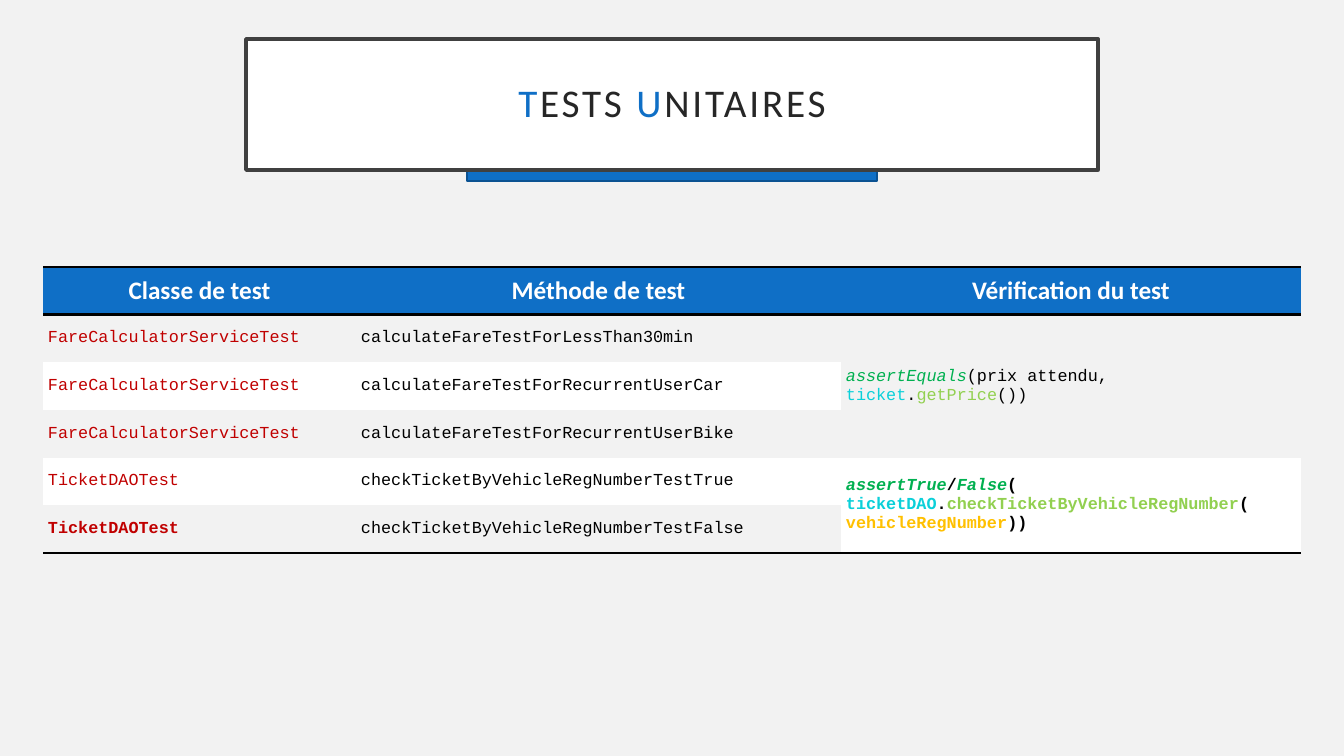
from pptx import Presentation
from pptx.dml.color import RGBColor
from pptx.enum.shapes import MSO_SHAPE as SHAPE
from pptx.enum.text import MSO_ANCHOR as ANCHOR, PP_ALIGN as ALIGN
from pptx.oxml import parse_xml
from pptx.oxml.ns import nsdecls
from pptx.util import Emu, Pt

COLORS = {
    "page": "F2F2F2", "white": "FFFFFF", "black": "000000", "blue": "0F6FC6",
    "navy": "0B5292", "frame": "404040", "ink": "262626", "red": "C00000",
    "green": "00B050", "cyan": "0BD0D9", "lime": "92D050", "amber": "FFC000",
}
TITLE = [[("T", "blue"), ("ESTS ", "ink"), ("U", "blue"), ("NITAIRES", "ink")]]
HEADERS = ["Classe de test", "Méthode de test", "Vérification du test"]
TESTS = [
    ("FareCalculatorServiceTest", "calculateFareTestForLessThan30min"),
    ("FareCalculatorServiceTest", "calculateFareTestForRecurrentUserCar"),
    ("FareCalculatorServiceTest", "calculateFareTestForRecurrentUserBike"),
    ("TicketDAOTest", "checkTicketByVehicleRegNumberTestTrue"),
    ("TicketDAOTest", "checkTicketByVehicleRegNumberTestFalse"),
]
PRICE_CHECK = [
    [("assertEquals", "green"), ("(prix attendu, ", "black"), ("ticket", "cyan"),
     (".", "black"), ("getPrice", "lime"), ("())", "black")],
]
TICKET_CHECK = [
    [("assertTrue", "green"), ("/", "black"), ("False", "green"), ("(", "black")],
    [("ticketDAO", "cyan"), (".", "black"),
     ("checkTicketByVehicleRegNumber", "lime"), ("(", "black")],
    [("vehicleRegNumber", "amber"), ("))", "black")],
]
CHECKS = [(1, 3, PRICE_CHECK, False), (4, 5, TICKET_CHECK, True)]

SLIDE = (1344, 756)
ACCENT_BOX = (467, 159, 410, 22)
TITLE_BOX = (246, 39, 852, 131)
TITLE_INSET = 20
TABLE_LEFT, TABLE_TOP, TABLE_HEIGHT = 43, 267, 286
COLUMNS = [313, 485, 460]
CELL_INSET = 5


def px(length):
    return Emu(round(length * 914400 / 100.8))


def rgb(name):
    return RGBColor.from_string(COLORS[name])


def write(frame, text, size=12, font="Courier New", bold=False, align=ALIGN.LEFT,
          line=1.0, spacing=0):
    for index, runs in enumerate(text):
        paragraph = frame.add_paragraph() if index else frame.paragraphs[0]
        paragraph.alignment = align
        paragraph.line_spacing = line
        for words, color in runs:
            run = paragraph.add_run()
            run.text = words
            run.font.name = font
            run.font.size = Pt(size)
            run.font.bold = bold
            run.font.italic = color == "green"
            run.font.color.rgb = rgb(color)
            if spacing:
                run.font._element.set("spc", str(spacing * 100))


def add_box(slide, box, fill, outline, width):
    shape = slide.shapes.add_shape(SHAPE.RECTANGLE, *map(px, box))
    shape.shadow.inherit = False
    shape.fill.solid()
    shape.fill.fore_color.rgb = rgb(fill)
    shape.line.color.rgb = rgb(outline)
    shape.line.width = Pt(width)
    return shape


def style_cell(cell, fill, sides):
    cell.vertical_anchor = ANCHOR.MIDDLE
    cell.fill.solid()
    cell.fill.fore_color.rgb = rgb(fill)
    for index, side in enumerate(sides):
        border = parse_xml(
            f'<a:ln{side} {nsdecls("a")} w="{Pt(2)}"><a:solidFill>'
            f'<a:srgbClr val="{COLORS["black"]}"/></a:solidFill></a:ln{side}>')
        cell._tc.get_or_add_tcPr().insert(index, border)


def inset_cell(cell):
    cell.margin_left = cell.margin_right = px(CELL_INSET)
    cell.margin_top = cell.margin_bottom = px(CELL_INSET)


def add_title(slide):
    add_box(slide, ACCENT_BOX, "blue", "navy", 1)
    frame = add_box(slide, TITLE_BOX, "white", "frame", 2.5).text_frame
    frame.word_wrap = True
    frame.vertical_anchor = ANCHOR.MIDDLE
    frame.margin_left = frame.margin_right = px(TITLE_INSET)
    frame.margin_top = frame.margin_bottom = px(TITLE_INSET)
    write(frame, TITLE, size=28, font="Calibri", align=ALIGN.CENTER, line=0.9, spacing=2)


def add_tests(slide):
    last = len(TESTS)
    table = slide.shapes.add_table(
        last + 1, len(COLUMNS), px(TABLE_LEFT), px(TABLE_TOP),
        px(sum(COLUMNS)), px(TABLE_HEIGHT)).table
    table.horz_banding = False
    no_grid = "{2D5ABB26-0587-4C30-8999-92F81FD0307C}"
    table._tbl.tblPr.xpath("a:tableStyleId")[0].text = no_grid
    for column, width in zip(table.columns, COLUMNS):
        column.width = px(width)
    for row in table.rows:
        row.height = px(TABLE_HEIGHT / (last + 1))

    for column, header in enumerate(HEADERS):
        cell = table.cell(0, column)
        style_cell(cell, "blue", "TB")
        write(cell.text_frame, [[(header, "white")]], size=18, font="Calibri",
              bold=True, align=ALIGN.CENTER)

    for row, names in enumerate(TESTS, 1):
        for column, (name, color) in enumerate(zip(names, ("red", "black"))):
            cell = table.cell(row, column)
            style_cell(cell, "page" if row % 2 else "white", "B" if row == last else "")
            inset_cell(cell)
            write(cell.text_frame, [[(name, color)]], bold=row == last and column == 0)

    for first, final, check, bold in CHECKS:
        for row in range(first, final + 1):
            style_cell(table.cell(row, 2), "page" if first % 2 else "white",
                       "B" if final == last else "")
        cell = table.cell(first, 2)
        cell.merge(table.cell(final, 2))
        inset_cell(cell)
        write(cell.text_frame, check, bold=bold)


def main():
    deck = Presentation()
    deck.slide_width, deck.slide_height = map(px, SLIDE)
    slide = deck.slides.add_slide(deck.slide_layouts[6])
    slide.background.fill.solid()
    slide.background.fill.fore_color.rgb = rgb("page")
    add_title(slide)
    add_tests(slide)
    deck.save("out.pptx")


if __name__ == "__main__":
    main()
